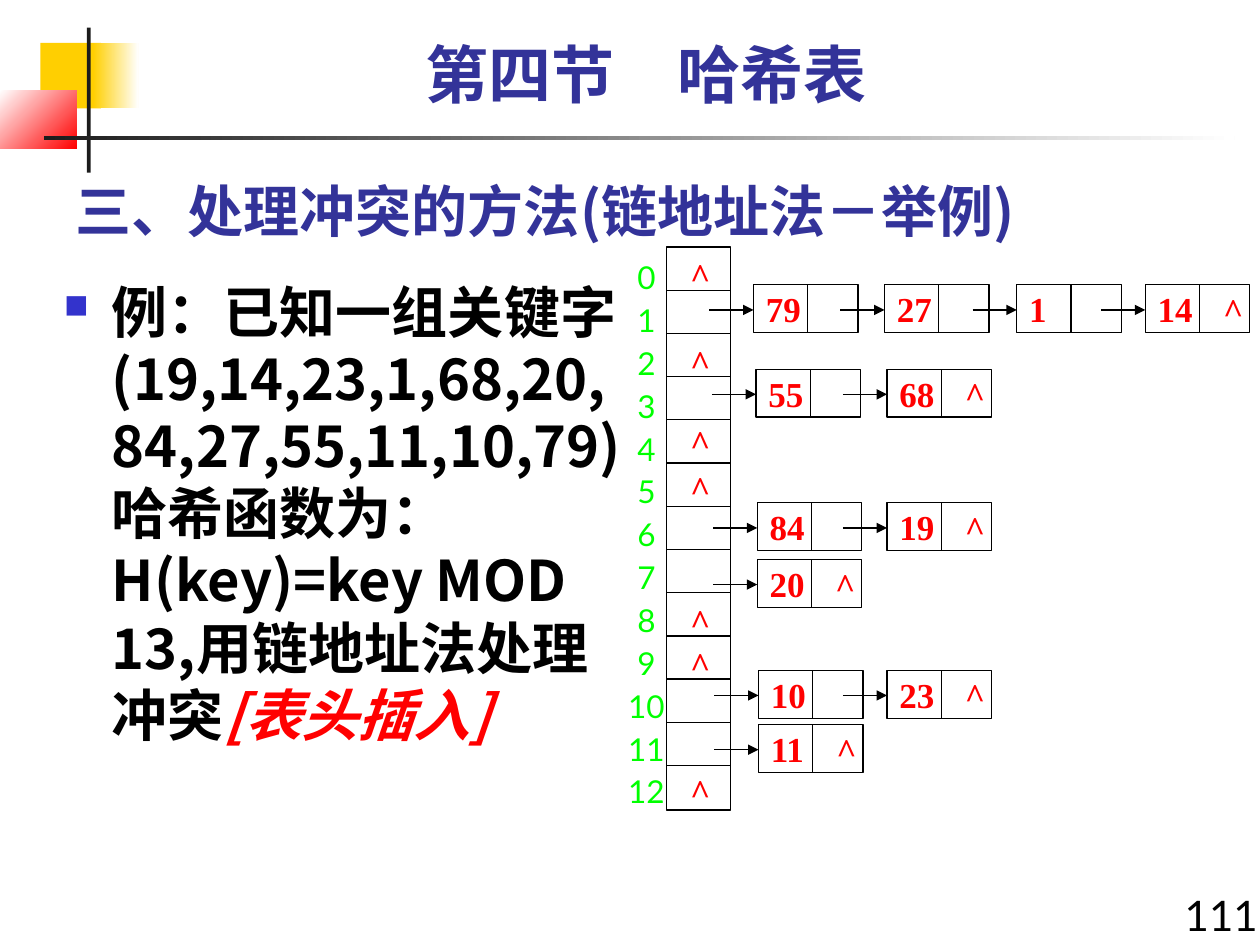
from dataclasses import dataclass

from lxml.etree import SubElement
from pptx import Presentation
from pptx.dml.color import RGBColor
from pptx.enum.shapes import MSO_CONNECTOR, MSO_SHAPE
from pptx.enum.text import MSO_ANCHOR, PP_ALIGN
from pptx.oxml.ns import qn
from pptx.util import Inches, Pt

BLACK = RGBColor(0x00, 0x00, 0x00)
WHITE = RGBColor(0xFF, 0xFF, 0xFF)
CHARCOAL = RGBColor(0x1C, 0x1C, 0x1C)
YELLOW = RGBColor(0xFF, 0xCF, 0x01)
RED = RGBColor(0xFF, 0x00, 0x00)
GREEN = RGBColor(0x00, 0xFF, 0x00)
NAVY = RGBColor(0x33, 0x33, 0x99)

LATO, CJK, TIMES = "Lato", "Noto Sans CJK SC", "Times New Roman"

TABLE_LEFT, TABLE_TOP, TABLE_WIDTH, TABLE_HEIGHT = 5.29, 1.96, 0.51, 4.47
BUCKET_COUNT, BUCKET_PITCH = 13, 0.343
NODE_WIDTH, NODE_HEIGHT, DIVIDER, ARROW_LENGTH = 0.83, 0.38, 0.43, 0.35
NULL_TOPS = (1.96, 2.65, 3.29, 3.65, 4.71, 5.05, 6.06)


@dataclass
class Band:
    left: float
    top: float
    width: float
    height: float
    colors: tuple[RGBColor, ...]
    angle: int = 0


@dataclass
class Chain:
    top: float
    nodes: tuple[tuple[str, float], ...]  # key and left edge


BANDS = (
    Band(0.32, 0.34, 0.48, 0.52, (YELLOW,)),
    Band(0.74, 0.34, 0.36, 0.52, (YELLOW, WHITE)),
    Band(0, 0.72, 0.61, 0.46, (WHITE, RED), 315),
    Band(0.69, 0.22, 0.03, 1.15, (CHARCOAL,)),
    Band(0.35, 1.08, 9.45, 0.03, (CHARCOAL, WHITE)),
)
CHAINS = (
    Chain(2.26, (("79", 5.98), ("27", 7.02), ("1", 8.07), ("14", 9.09))),
    Chain(2.93, (("55", 6.0), ("68", 7.04))),
    Chain(3.99, (("84", 6.01), ("19", 7.04))),
    Chain(4.44, (("20", 6.01),)),
    Chain(5.32, (("10", 6.02), ("23", 7.04))),
    Chain(5.75, (("11", 6.02),)),
)


def add_span(para, text: str, *, size: float, font: str, color: RGBColor,
             bold: bool = False, italic: bool = False) -> None:
    span = para.add_run()
    span.text = text
    span.font.size = Pt(size)
    span.font.name = font
    span.font.bold = bold
    span.font.italic = italic
    span.font.color.rgb = color
    east_asian = CJK if font == LATO else font
    SubElement(span.font._element, qn("a:ea")).set("typeface", east_asian)


def write(shape, text: str, *, align=PP_ALIGN.LEFT, anchor=MSO_ANCHOR.TOP,
          wrap: bool = True, space_before: float = 0, **style):
    frame = shape.text_frame
    frame.word_wrap = wrap
    frame.vertical_anchor = anchor
    for index, line in enumerate(text.split("\n")):
        para = frame.add_paragraph() if index else frame.paragraphs[0]
        para.alignment = align
        if index:
            para.space_before = Pt(space_before)
        add_span(para, line, **style)
    return frame


def add_box(page, left: float, top: float, width: float, height: float):
    return page.shapes.add_textbox(Inches(left), Inches(top), Inches(width), Inches(height))


def add_rectangle(page, left: float, top: float, width: float, height: float):
    shape = page.shapes.add_shape(MSO_SHAPE.RECTANGLE, Inches(left), Inches(top),
                                  Inches(width), Inches(height))
    shape.shadow.inherit = False
    return shape


def add_outline(page, left: float, top: float, width: float, height: float):
    shape = add_rectangle(page, left, top, width, height)
    shape.fill.background()
    shape.line.color.rgb = BLACK
    shape.line.width = Pt(0.75)
    return shape


def add_band(page, band: Band) -> None:
    shape = add_rectangle(page, band.left, band.top, band.width, band.height)
    shape.line.fill.background()
    if len(band.colors) == 1:
        shape.fill.solid()
        shape.fill.fore_color.rgb = band.colors[0]
        return
    shape.fill.gradient()
    shape.fill.gradient_angle = band.angle
    for stop, color in zip(shape.fill.gradient_stops, band.colors):
        stop.color.rgb = color


def add_line(page, x1: float, y1: float, x2: float, y2: float, arrow: bool = False) -> None:
    line = page.shapes.add_connector(MSO_CONNECTOR.STRAIGHT, Inches(x1), Inches(y1),
                                     Inches(x2), Inches(y2))
    line.line.color.rgb = BLACK
    line.line.width = Pt(0.75)
    if arrow:
        SubElement(line.line._get_or_add_ln(), qn("a:tailEnd")).set("type", "triangle")
    SubElement(line._element.spPr, qn("a:effectLst"))


def add_null(page, left: float, top: float) -> None:
    write(add_box(page, left, top, 0.36, 0.44), "^", wrap=False,
          size=20, font=TIMES, color=RED, bold=True)


def add_chain(page, chain: Chain) -> None:
    top = chain.top
    for key, left in chain.nodes:
        node = add_outline(page, left, top, NODE_WIDTH, NODE_HEIGHT)
        write(node, key, anchor=MSO_ANCHOR.MIDDLE, wrap=False,
              size=20, font=TIMES, color=RED, bold=True)
        add_line(page, left + DIVIDER, top, left + DIVIDER, top + NODE_HEIGHT)
        add_line(page, left - ARROW_LENGTH, top + 0.2, left, top + 0.2, arrow=True)
    add_null(page, chain.nodes[-1][1] + 0.52, top - 0.02)


def add_bullet(para) -> None:
    properties = para._p.get_or_add_pPr()
    properties.set("marL", str(Inches(0.38)))
    properties.set("indent", str(-Inches(0.38)))
    color = SubElement(properties, qn("a:buClr"))
    SubElement(color, qn("a:srgbClr")).set("val", "3333CC")
    SubElement(properties, qn("a:buSzPct")).set("val", "60000")
    SubElement(properties, qn("a:buChar")).set("char", "■")


def main() -> None:
    deck = Presentation()
    deck.slide_width, deck.slide_height = Inches(10), Inches(7.5)
    page = deck.slides.add_slide(deck.slide_layouts[6])

    # Corner decoration and rule
    for band in BANDS:
        add_band(page, band)

    # Headings and page number
    write(add_box(page, 0.5, 0.23, 9.25, 0.7), "第四节　哈希表", align=PP_ALIGN.CENTER,
          size=36, font=LATO, color=NAVY, bold=True)
    write(add_box(page, 0.5, 1.23, 9.25, 0.75), "三、处理冲突的方法(链地址法－举例)",
          anchor=MSO_ANCHOR.BOTTOM, size=32, font=CJK, color=NAVY, bold=True)
    write(add_box(page, 9.16, 7.01, 0.92, 0.59), "111", align=PP_ALIGN.RIGHT,
          size=24, font=LATO, color=BLACK)

    # Worked example
    example_style = dict(size=32, font=CJK, bold=True)
    example = write(add_box(page, 0.41, 2.15, 4.67, 4.42),
                    "例：已知一组关键字(19,14,23,1,68,20,84,27,55,11,10,79)"
                    "哈希函数为： H(key)=key MOD 13,用链地址法处理冲突",
                    color=BLACK, **example_style)
    para = example.paragraphs[0]
    add_bullet(para)
    add_span(para, "[表头插入]", color=RED, italic=True, **example_style)

    # Bucket column with its indices and empty buckets
    add_outline(page, TABLE_LEFT, TABLE_TOP, TABLE_WIDTH, TABLE_HEIGHT)
    for index in range(1, BUCKET_COUNT):
        y = TABLE_TOP + index * BUCKET_PITCH
        add_line(page, TABLE_LEFT, y, TABLE_LEFT + TABLE_WIDTH, y)
    for top in NULL_TOPS:
        add_null(page, TABLE_LEFT + 0.09, top)
    write(add_box(page, 4.84, 2, 0.58, 4.48), "\n".join(map(str, range(BUCKET_COUNT))),
          align=PP_ALIGN.CENTER, space_before=2.9, size=18, font=LATO, color=GREEN)

    # Linked nodes
    for chain in CHAINS:
        add_chain(page, chain)

    deck.save("out.pptx")


if __name__ == "__main__":
    main()
